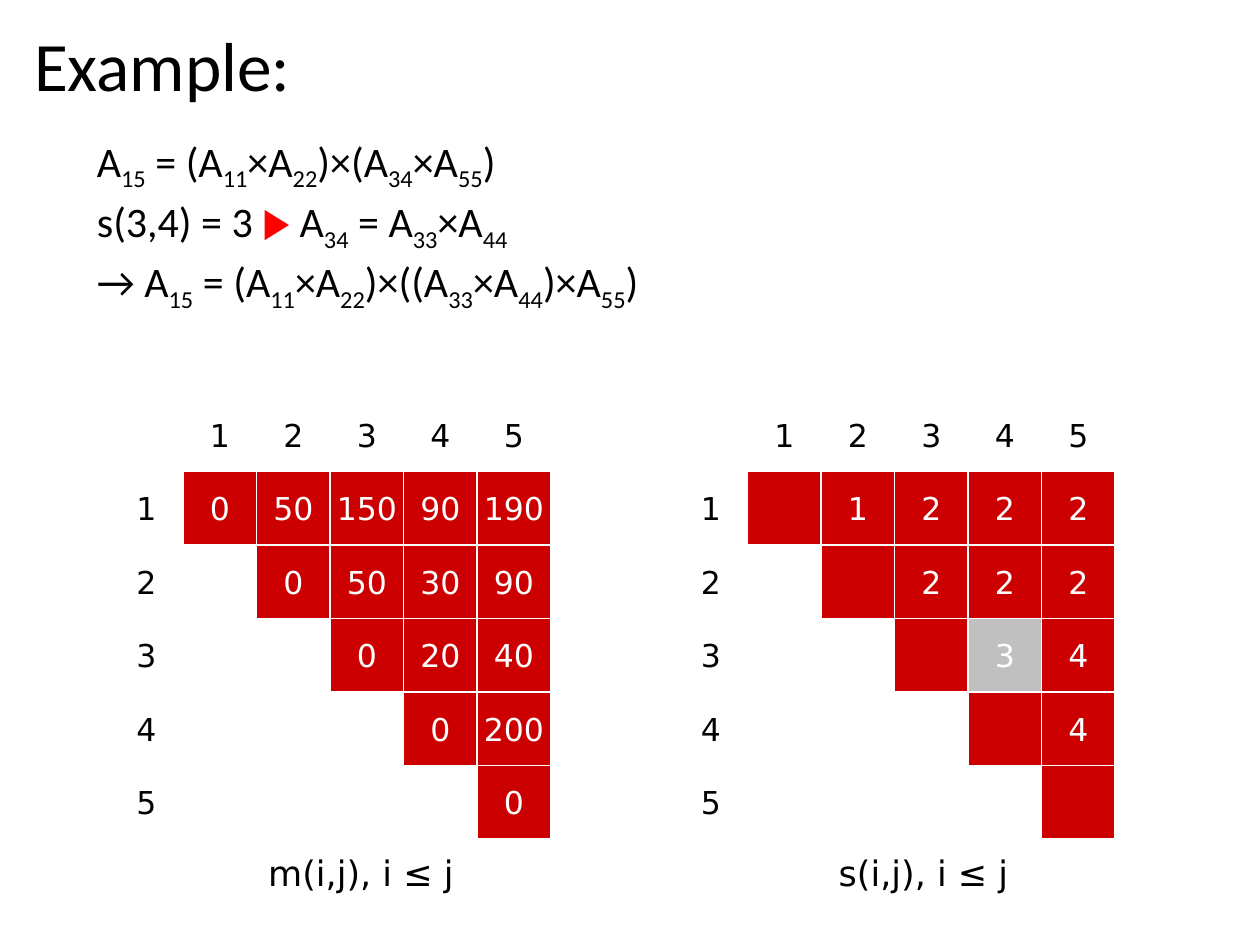
from pptx import Presentation
from pptx.dml.color import RGBColor
from pptx.enum.shapes import MSO_SHAPE as Shape
from pptx.enum.text import MSO_ANCHOR as Anchor, PP_ALIGN as Align
from pptx.util import Inches, Pt


def color(value):
    return RGBColor.from_string(value)


def write(paragraph, text, size, font, ink):
    run = paragraph.add_run()
    run.text = text
    for name, value in {"size": Pt(size), "name": font}.items():
        setattr(run.font, name, value)
    run.font.color.rgb = color(ink)
    return run


prs = Presentation()
prs.slide_width, prs.slide_height = Inches(10), Inches(7.5)
slide = prs.slides.add_slide(prs.slide_layouts[5])
shapes = slide.shapes

# Title
title = shapes.title
title_place = {"left": 0.17, "top": 0.18, "width": 9.62, "height": 0.74}
for name, value in title_place.items():
    setattr(title, name, Inches(value))
title.text_frame.vertical_anchor = Anchor.MIDDLE
heading = title.text_frame.paragraphs[0]
heading.alignment = Align.LEFT
heading.line_spacing = 0.9
write(heading, "Example:", 39.6, "Calibri", "000000")

# Derivation: every second part between bars is a subscript
derivation = [
    "A|15| = (A|11|×A|22|)×(A|34|×A|55|)",
    "s(3,4) = 3 ||▶ ||A|34| = A|33|×A|44",
    "→ A|15| = (A|11|×A|22|)×((A|33|×A|44|)×A|55|)",
]
body = shapes.add_textbox(Inches(0.17), Inches(1.03), Inches(9.62), Inches(5.73)).text_frame
body.word_wrap = True
for number, formula in enumerate(derivation):
    line = body.add_paragraph() if number else body.paragraphs[0]
    line_format = {"level": 1, "line_spacing": 0.9, "space_before": Pt(5)}
    for name, value in line_format.items():
        setattr(line, name, value)
    line._p.get_or_add_pPr().set("marL", str(Inches(0.5)))
    for position, part in enumerate(formula.split("|")):
        if not part:
            continue
        ink = "FF0000" if part.startswith("▶") else "000000"
        run = write(line, part, 24, "Calibri", ink)
        if position % 2:
            run._r.get_or_add_rPr().set("baseline", "-25000")

# Triangular matrices: rows start on the diagonal
matrices = [
    {"left": 0.87, "caption": "m(i,j), i ≤ j", "caption_left": 1.96, "caption_width": 1.81,
     "rows": [[0, 50, 150, 90, 190], [0, 50, 30, 90], [0, 20, 40], [0, 200], [0]],
     "highlight": None},
    {"left": 5.35, "caption": "s(i,j), i ≤ j", "caption_left": 6.49, "caption_width": 1.68,
     "rows": [["", 1, 2, 2, 2], ["", 2, 2, 2], ["", 3, 4], ["", 4], [""]],
     "highlight": (3, 4)},
]
cell_size = Inches(7) // 12
matrix_top = Inches(3.16)

for matrix in matrices:
    # Row and column 0 hold the indices
    entries = [(0, j, j) for j in range(1, 6)] + [(i, 0, i) for i in range(1, 6)]
    for i, row in enumerate(matrix["rows"], 1):
        entries += [(i, j, value) for j, value in enumerate(row, i)]

    for i, j, value in entries:
        place = (Inches(matrix["left"]) + j * cell_size, matrix_top + i * cell_size,
                 cell_size, cell_size)
        if i and j:
            cell = shapes.add_shape(Shape.RECTANGLE, *place)
            cell.shadow.inherit = False
            cell.fill.solid()
            cell.fill.fore_color.rgb = color(
                "C0C0C0" if (i, j) == matrix["highlight"] else "CC0000")
            cell.line.color.rgb = color("FFFFFF")
            cell.line.width = Pt(1)
            ink = "FFFFFF"
        else:
            cell = shapes.add_textbox(*place)
            ink = "000000"
        if value == "":
            continue
        frame = cell.text_frame
        frame.word_wrap = False
        frame.vertical_anchor = Anchor.MIDDLE
        frame.paragraphs[0].alignment = Align.CENTER
        write(frame.paragraphs[0], str(value), 18, "DejaVu Sans", ink)

    # Caption below the matrix
    caption = shapes.add_textbox(Inches(matrix["caption_left"]), Inches(6.71),
                                 Inches(matrix["caption_width"]), Inches(0.44)).text_frame
    caption.word_wrap = False
    caption.paragraphs[0].alignment = Align.CENTER
    write(caption.paragraphs[0], matrix["caption"], 20, "DejaVu Sans", "000000")

prs.save("out.pptx")
